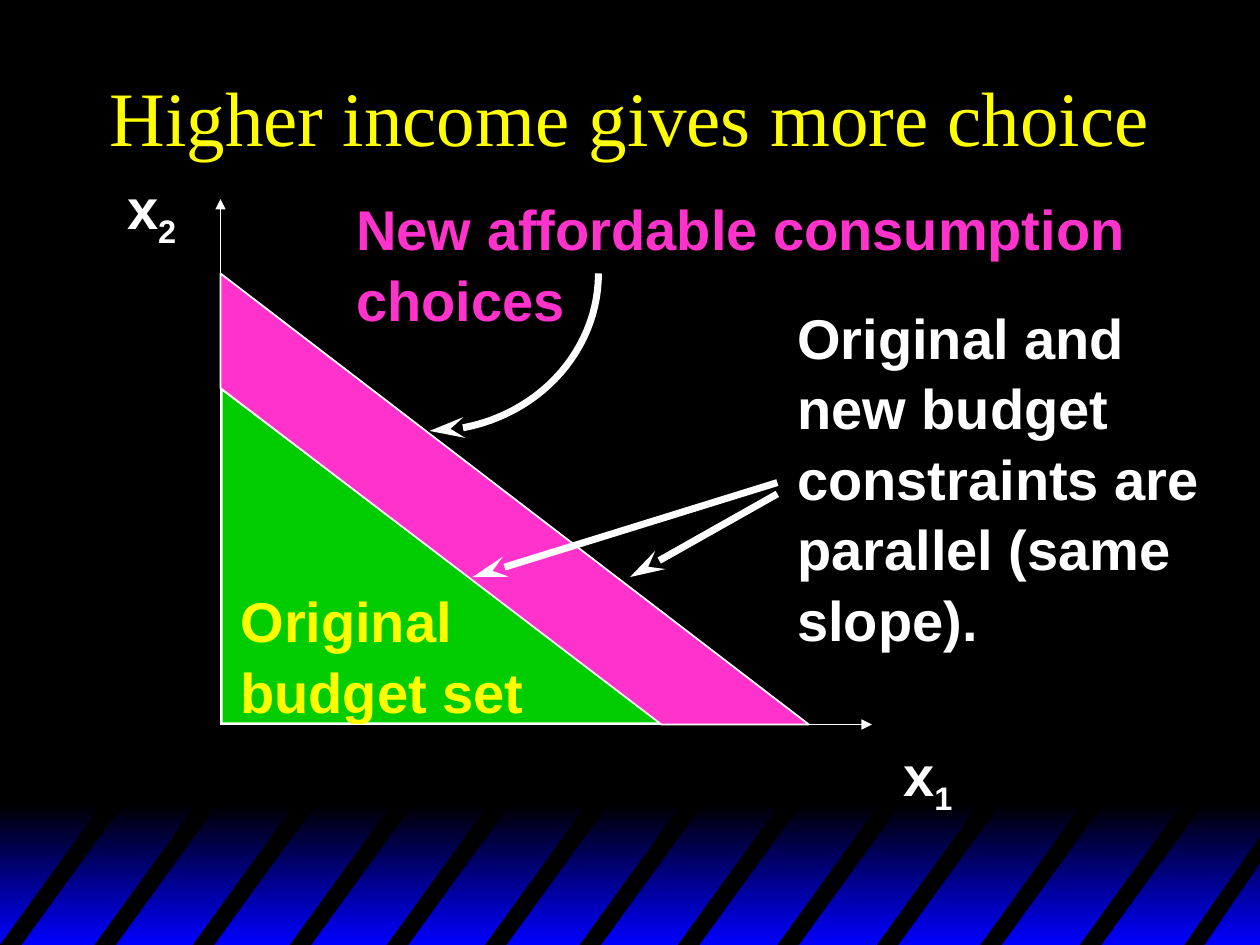
"""Build a slide on how higher income widens the budget set."""
from math import cos, pi, sin
from typing import NamedTuple

from lxml.etree import SubElement
from pptx import Presentation
from pptx.dml.color import RGBColor
from pptx.enum.shapes import MSO_CONNECTOR, MSO_SHAPE
from pptx.enum.text import MSO_ANCHOR, MSO_AUTO_SIZE, PP_ALIGN
from pptx.oxml.ns import qn
from pptx.util import Inches, Pt

COLOR = {
    "black": "000000", "blue": "0000FF", "white": "FFFFFF",
    "yellow": "FFFF00", "green": "00CC00", "pink": "FF33CC",
}
Point = tuple[float, float]


class Label(NamedTuple):
    box: tuple[float, float, float, float]
    color: str
    paras: list[list[str]]
    sub: str = ""
    wrap: bool = False


class Arrow(NamedTuple):
    start: Point
    end: Point
    width: float
    head: str


def rgb(name: str) -> RGBColor:
    """Return a named colour."""
    return RGBColor.from_string(COLOR[name])


def paint(shape, fill: str = "", line: str = "", width: float = 1) -> None:
    """Set fill and outline, and drop the shadow."""
    shape.shadow.inherit = False
    if fill:
        shape.fill.solid()
        shape.fill.fore_color.rgb = rgb(fill)
    else:
        shape.fill.background()
    if line:
        shape.line.color.rgb = rgb(line)
        shape.line.width = Pt(width)
    else:
        shape.line.fill.background()


def add_head(shape, head: str) -> None:
    """Put an arrowhead at the end of a line."""
    size = "lg" if head == "stealth" else "med"
    SubElement(shape.line._get_or_add_ln(), qn("a:tailEnd"), type=head, w="med", len=size)


def draw_path(shapes, points: list[Point], close: bool = True):
    """Draw a freeform through points given in inches."""
    spots = [(Inches(x), Inches(y)) for x, y in points]
    pen = shapes.build_freeform(*spots[0])
    pen.add_line_segments(spots[1:], close=close)
    return pen.convert_to_shape()


def draw_arrow(shapes, arrow: Arrow) -> None:
    """Draw a straight white arrow."""
    ends = [Inches(n) for n in arrow.start + arrow.end]
    line = shapes.add_connector(MSO_CONNECTOR.STRAIGHT, *ends)
    line.line.color.rgb = rgb("white")
    line.line.width = Pt(arrow.width)
    add_head(line, arrow.head)
    SubElement(line._element.spPr, qn("a:effectLst"))


def style_run(run, color: str, size: float, face: str, bold: bool) -> None:
    """Set the font of a run."""
    run.font.name, run.font.size, run.font.bold = face, Pt(size), bold
    run.font.color.rgb = rgb(color)


def draw_label(shapes, label: Label) -> None:
    """Write a bold label, with line breaks and a subscript if any."""
    frame = shapes.add_textbox(*map(Inches, label.box)).text_frame
    frame.word_wrap = label.wrap
    frame.auto_size = MSO_AUTO_SIZE.SHAPE_TO_FIT_TEXT
    for i, lines in enumerate(label.paras):
        para = frame.add_paragraph() if i else frame.paragraphs[0]
        para.line_spacing = 1.05
        for j, text in enumerate(lines):
            if j:
                para.add_line_break()
            run = para.add_run()
            run.text = text
            style_run(run, label.color, 32, "Arial", True)
        if label.sub:
            run = para.add_run()
            run.text = label.sub
            style_run(run, label.color, 32, "Arial", True)
            run.font._element.set("baseline", "-25000")


def draw_band(shapes) -> None:
    """Draw the blue band with its slanted black stripes."""
    group = shapes.add_group_shape().shapes
    band = group.add_shape(MSO_SHAPE.RECTANGLE, *map(Inches, (0, 6.38, 10, 1.12)))
    paint(band, "black")
    band.fill.gradient()
    band.fill.gradient_angle = 270
    for stop, place, name in zip(band.fill.gradient_stops, (0, 1), ("black", "blue")):
        stop.position, stop.color.rgb = place, rgb(name)
    top, base, lean, thick = 6.34, 7.5, 0.84, 0.17
    for x in STRIPES:
        stripe = [(x, base), (x + lean, top), (x + lean + thick, top), (x + thick, base)]
        paint(draw_path(group, stripe), "black")
    paint(draw_path(group, [(9.4, base), (10, 6.64), (10, 6.85), (9.56, base)]), "black")


def draw_curve(shapes, center: Point, wide: float, high: float) -> None:
    """Draw a quarter arc that ends in an arrowhead."""
    turns = [pi / 2 * i / 30 for i in range(31)]
    points = [(center[0] + wide * cos(t), center[1] + high * sin(t)) for t in turns]
    curve = draw_path(shapes, points, close=False)
    paint(curve, line="white", width=4)
    add_head(curve, "stealth")


STRIPES = [0, 0.75, 1.53, 2.3, 3.07, 3.85, 4.6, 5.38, 6.17, 6.96, 7.78, 8.57]
ORIGIN = (1.75, 5.75)
LABELS = [
    Label((1.81, 4.58, 2.45, 1.17), "yellow", [["Original"], ["budget set"]]),
    Label((2.73, 1.47, 6.31, 1.17), "pink", [["New affordable consumption", "choices"]]),
    Label((0.91, 1.3, 0.59, 0.71), "white", [["x"]], "2"),
    Label((7.07, 5.8, 0.59, 0.71), "white", [["x"]], "1"),
    Label((6.23, 2.33, 3.63, 2.77), "white",
          [["Original and"], ["new budget"], ["constraints are"], ["parallel (same"], ["slope)."]],
          wrap=True),
]
ARROWS = [
    Arrow((6.17, 3.83), (3.75, 4.58), 4, "stealth"),
    Arrow((6.17, 3.92), (5, 4.58), 4, "stealth"),
    Arrow(ORIGIN, (1.75, 1.58), 1, "triangle"),
    Arrow(ORIGIN, (6.92, 5.75), 1, "triangle"),
]


def main() -> None:
    """Build and save the slide."""
    deck = Presentation()
    deck.slide_width, deck.slide_height = Inches(10), Inches(7.5)
    slide = deck.slides.add_slide(deck.slide_layouts[5])
    slide.background.fill.solid()
    slide.background.fill.fore_color.rgb = rgb("black")
    shapes = slide.shapes
    draw_band(shapes)

    title = shapes.title
    title.left, title.top, title.width, title.height = map(Inches, (0.75, 0.25, 8.5, 1.33))
    title.text_frame.vertical_anchor = MSO_ANCHOR.MIDDLE
    para = title.text_frame.paragraphs[0]
    para.alignment = PP_ALIGN.CENTER
    run = para.add_run()
    run.text = "Higher income gives more choice"
    style_run(run, "yellow", 44, "Times New Roman", False)

    budget = shapes.add_shape(MSO_SHAPE.RIGHT_TRIANGLE, *map(Inches, (1.76, 3.09, 3.49, 2.65)))
    paint(budget, "green", "white")
    gain = draw_path(shapes, [(1.75, 2.17), (6.42, 5.75), (5.25, 5.75), (1.75, 3.08)])
    paint(gain, "pink", "white")
    for label in LABELS:
        draw_label(shapes, label)
    draw_curve(shapes, (3.41, 2.17), 1.34, 1.25)
    for arrow in ARROWS:
        draw_arrow(shapes, arrow)
    deck.save("out.pptx")


if __name__ == "__main__":
    main()
